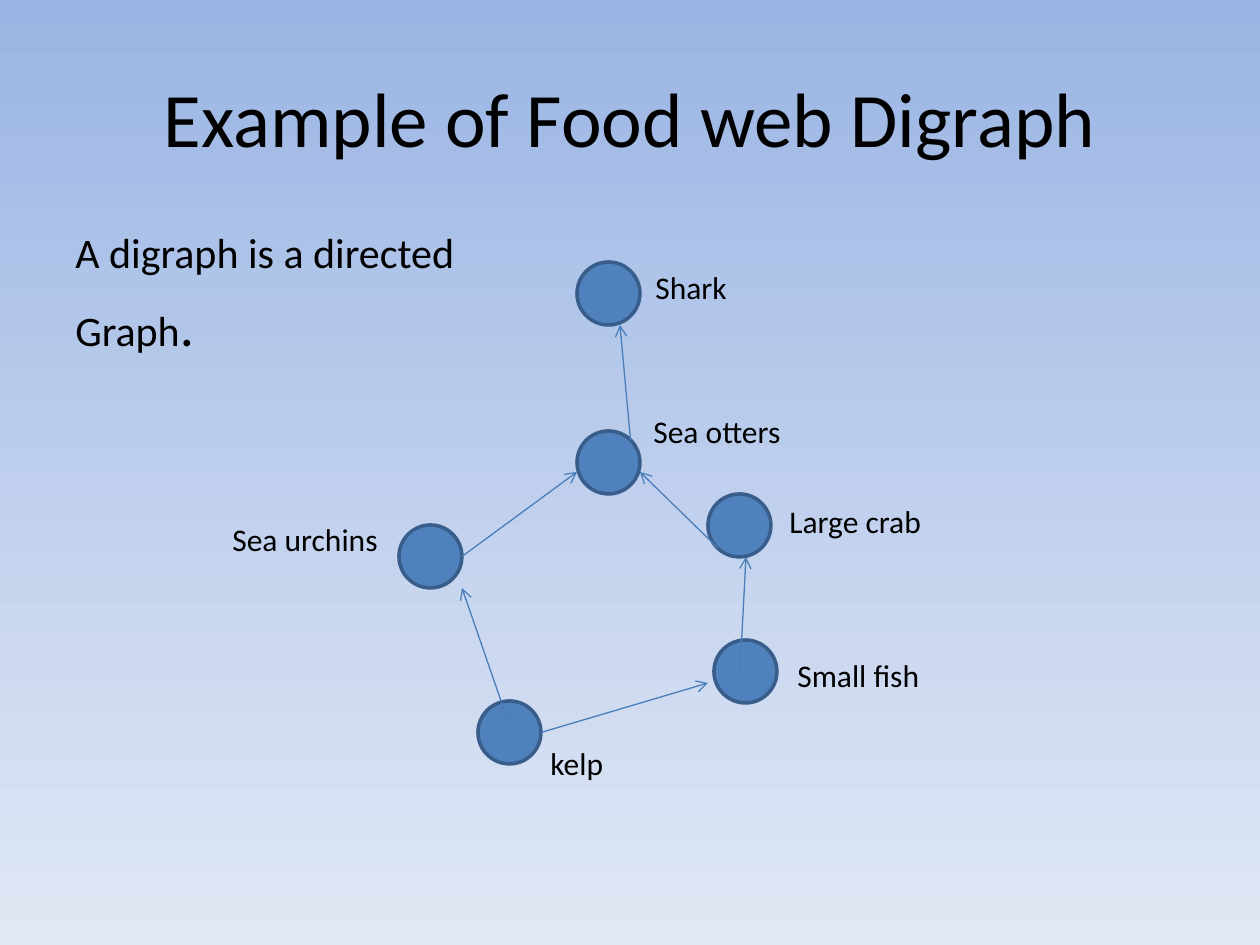
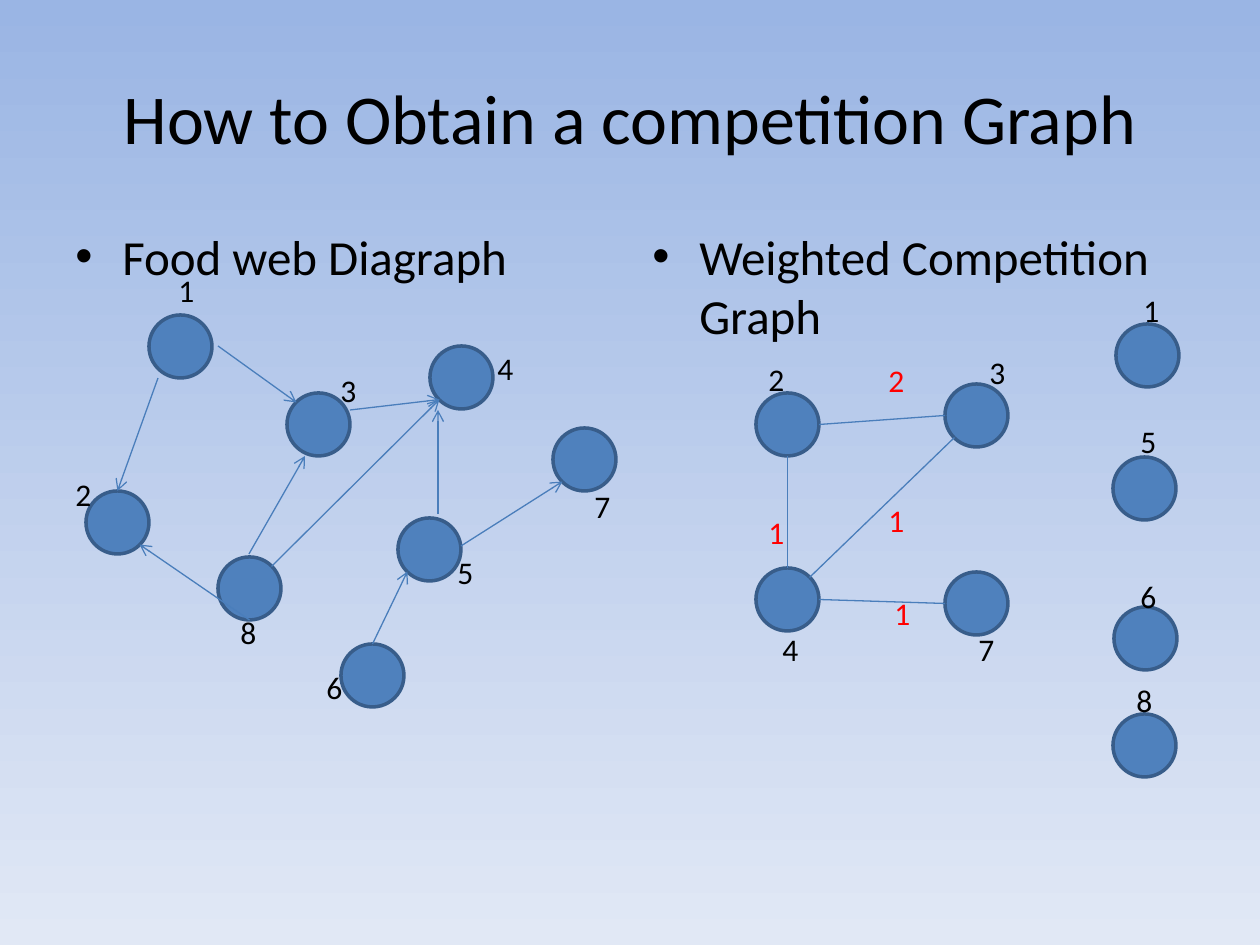
from lxml import etree
from pptx import Presentation
from pptx.dml.color import RGBColor
from pptx.enum.shapes import MSO_CONNECTOR, MSO_SHAPE
from pptx.enum.text import MSO_ANCHOR, MSO_AUTO_SIZE, PP_ALIGN
from pptx.oxml import parse_xml
from pptx.oxml.ns import nsdecls, qn
from pptx.util import Emu, Pt

# Shared look
FONT = "Calibri"
BLACK = RGBColor(0x00, 0x00, 0x00)
RED = RGBColor(0xFF, 0x00, 0x00)
SKY_TOP = RGBColor(0x9A, 0xB5, 0xE4)
SKY_BOTTOM = RGBColor(0xE1, 0xE8, 0xF5)
NODE_FILL = RGBColor(0x4F, 0x81, 0xBD)
NODE_LINE = RGBColor(0x38, 0x5D, 0x8A)
EDGE_LINE = RGBColor(0x4A, 0x7E, 0xBB)

# Shared sizes in pixels, 126 to the inch
PAGE = (1260, 945)
MARGIN = 63
CONTENT_WIDTH = PAGE[0] - 2 * MARGIN
BODY_TOP, BODY_HEIGHT = 220, 624
COLUMN_WIDTH = 557
BULLET_INDENT = 47
NODE = 63
DIGIT_WIDTH, LABEL_HEIGHT = 40, 50

# Places on a node's rim, as fractions of its diameter
SITES = {
    "top": (0.5, 0), "bottom": (0.5, 1), "left": (0, 0.5), "right": (1, 0.5),
    "top-left": (0.15, 0.15), "top-right": (0.85, 0.15),
    "bottom-left": (0.15, 0.85), "bottom-right": (0.85, 0.85),
}

# Nodes: name -> (left, top, label left, label top[, label width])
FOOD_CHAIN = {
    "Sea urchins": (399, 525, 220, 514, 179),
    "Large crab": (708, 494, 777, 496, 168),
    "kelp": (478, 701, 538, 738, 173),
    "Small fish": (714, 640, 785, 650, 189),
    "Sea otters": (577, 431, 641, 406, 158),
    "Shark": (577, 262, 643, 262, 141),
}
FOOD_WEB = {
    "1": (149, 315, 166, 265), "2": (86, 491, 63, 469),
    "3": (287, 393, 328, 365), "4": (430, 346, 485, 343),
    "5": (398, 518, 445, 547), "6": (341, 644, 314, 662),
    "7": (553, 428, 582, 481), "8": (218, 557, 228, 607),
}
COMPETITION = {
    "2": (756, 393, 756, 354), "4": (756, 568, 770, 624),
    "3": (945, 384, 977, 347), "7": (945, 572, 966, 624),
    "1": (1116, 324, 1131, 285), "5": (1113, 457, 1128, 416),
    "6": (1114, 607, 1128, 571), "8": (1113, 714, 1124, 675),
}

# Edges: each end is "node@site" or a free point
FOOD_CHAIN_EDGES = [
    ("Sea urchins@right", (577, 472)),
    ("Sea otters@top-right", (620, 325)),
    ("Large crab@bottom-left", (640, 472)),
    ((740, 672), (746, 557)),
    ("kelp@right", (708, 683)),
    ((509, 724), (462, 588)),
]
FOOD_WEB_EDGES = [
    ("8@top-right", "4@bottom-left"),
    ("8@bottom", "2@bottom-right"),
    ((158, 378), "2@top"),
    ((249, 554), (305, 456)),
    ("6@top", "5@bottom-left"),
    ((461, 546), "7@bottom-left"),
    ((438, 514), (438, 410)),
    ((350, 410), "4@bottom-left"),
    ((218, 346), "3@top-left"),
]
COMPETITION_EDGES = [
    ("2@right", "3@left"),
    ("2@bottom", "4@top"),
    ("4@right", "7@left"),
    ("3@bottom-left", "4@top-right"),
]
WEIGHTS = [("2", 876, 355), ("1", 756, 507), ("1", 876, 495), ("1", 882, 588)]


def px(length):
    return Emu(round(length * 914400 / 126))


def set_font(font, size, color=BLACK):
    font.name, font.size, font.color.rgb = FONT, Pt(size), color


def add_page(deck, title, size):
    page = deck.slides.add_slide(deck.slide_layouts[5])
    # Sky gradient, running down the page
    fill = page.background.fill
    fill.gradient()
    fill.gradient_angle = 270
    for stop, color in zip(fill.gradient_stops, (SKY_TOP, SKY_BOTTOM)):
        stop.color.rgb = color
    # Title
    box = page.shapes.title
    box.left, box.top = px(MARGIN), px(38)
    box.width, box.height = px(CONTENT_WIDTH), px(157)
    frame = box.text_frame
    frame.text = title
    frame.auto_size = MSO_AUTO_SIZE.NONE
    frame.vertical_anchor = MSO_ANCHOR.MIDDLE
    frame.paragraphs[0].alignment = PP_ALIGN.CENTER
    set_font(frame.paragraphs[0].font, size)
    return page


def add_text_box(page, left, top, width, height):
    box = page.shapes.add_textbox(px(left), px(top), px(width), px(height))
    box.text_frame.word_wrap = True
    return box.text_frame


def add_bullet(page, text, left):
    frame = add_text_box(page, left, BODY_TOP, COLUMN_WIDTH, BODY_HEIGHT)
    para = frame.paragraphs[0]
    para.text = text
    para.space_before = Pt(7)
    set_font(para.font, 28)
    properties = para._p.get_or_add_pPr()
    properties.set("marL", str(px(BULLET_INDENT)))
    properties.set("indent", str(-px(BULLET_INDENT)))
    bullet_font = parse_xml(f'<a:buFont {nsdecls("a")} typeface="Arial"/>')
    bullet = parse_xml(f'<a:buChar {nsdecls("a")} char="•"/>')
    for offset, element in enumerate((bullet_font, bullet)):
        properties.insert(1 + offset, element)


def add_label(page, text, left, top, width=DIGIT_WIDTH, color=BLACK):
    frame = add_text_box(page, left, top, width, LABEL_HEIGHT)
    frame.word_wrap = width > DIGIT_WIDTH
    frame.auto_size = MSO_AUTO_SIZE.SHAPE_TO_FIT_TEXT
    para = frame.paragraphs[0]
    para.text = text
    set_font(para.font, 18, color)


def add_node(page, left, top):
    node = page.shapes.add_shape(MSO_SHAPE.FLOWCHART_CONNECTOR,
                                 px(left), px(top), px(NODE), px(NODE))
    node.shadow.inherit = False
    node.fill.solid()
    node.fill.fore_color.rgb = NODE_FILL
    node.line.color.rgb = NODE_LINE
    node.line.width = Pt(2)


def locate(nodes, end):
    if isinstance(end, tuple):
        return end
    name, site = end.split("@")
    left, top = nodes[name][:2]
    across, down = SITES[site]
    return left + across * NODE, top + down * NODE


def add_edge(page, start, finish, arrow):
    edge = page.shapes.add_connector(MSO_CONNECTOR.STRAIGHT,
                                     *map(px, start + finish))
    edge.line.color.rgb = EDGE_LINE
    edge.line.width = Pt(0.75)
    if arrow:
        etree.SubElement(edge.line._get_or_add_ln(), qn("a:tailEnd"), type="arrow")
    etree.SubElement(edge._element.spPr, qn("a:effectLst"))


def add_graph(page, nodes, edges, directed=True):
    for left, top, *_ in nodes.values():
        add_node(page, left, top)
    for start, finish in edges:
        add_edge(page, locate(nodes, start), locate(nodes, finish), directed)
    for name, (_, _, *label_place) in nodes.items():
        add_label(page, name, *label_place)


def add_definition(page):
    frame = add_text_box(page, MARGIN, BODY_TOP, CONTENT_WIDTH, BODY_HEIGHT)
    first, second = frame.paragraphs[0], frame.add_paragraph()
    first.text = "A digraph is a directed"
    first.space_before, second.space_before = Pt(6), Pt(8)
    set_font(first.font, 24)
    for text, size in (("Graph", 24), (".", 32)):
        span = second.add_run()
        span.text = text
        set_font(span.font, size)


def main():
    deck = Presentation()
    deck.slide_width, deck.slide_height = map(px, PAGE)

    # Food web digraph
    page = add_page(deck, "Example of Food web Digraph", 44)
    add_definition(page)
    add_graph(page, FOOD_CHAIN, FOOD_CHAIN_EDGES)

    # Food web beside its competition graph
    page = add_page(deck, "How to Obtain a competition Graph", 40)
    add_bullet(page, "Food web Diagraph", MARGIN)
    add_bullet(page, "Weighted Competition Graph", PAGE[0] - MARGIN - COLUMN_WIDTH)
    add_graph(page, FOOD_WEB, FOOD_WEB_EDGES)
    add_graph(page, COMPETITION, COMPETITION_EDGES, directed=False)
    for weight, left, top in WEIGHTS:
        add_label(page, weight, left, top, color=RED)

    deck.save("out.pptx")


main()
